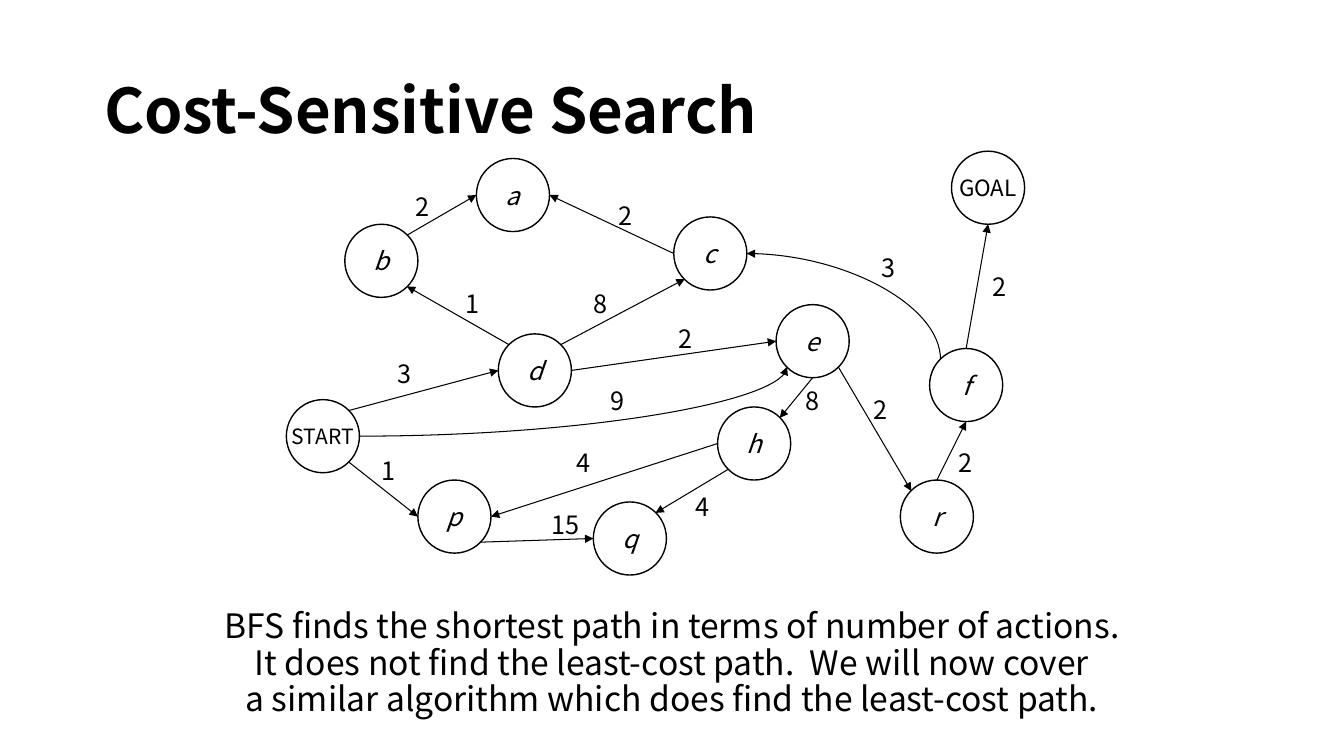
from typing import NamedTuple

from lxml.etree import SubElement as Sub
from pptx import Presentation
from pptx.dml.color import RGBColor
from pptx.enum.shapes import MSO_CONNECTOR as Link, MSO_SHAPE as Kind
from pptx.enum.text import MSO_ANCHOR as Anchor, MSO_AUTO_SIZE as Fit, PP_ALIGN as Align
from pptx.oxml.ns import qn
from pptx.util import Inches, Pt

BLACK = RGBColor(0, 0, 0)
FACE = "Noto Sans CJK SC"
WIDE, HIGH = Inches(13.33), Inches(7.5)

# Graph grid: a node is SPAN cells across
CELL = Inches(0.29) / 4
LEFT, TOP = Inches(2.84), Inches(1.5)
SPAN = 10
LABEL = 5.5  # cells, height of a cost label
NEAR, MID, FAR = 0.15, 0.5, 0.85
SITES = {
    "n": (MID, 0), "ne": (FAR, NEAR), "e": (1, MID), "se": (FAR, FAR),
    "s": (MID, 1), "sw": (NEAR, FAR), "w": (0, MID), "nw": (NEAR, NEAR),
}


class Node(NamedTuple):
    name: str
    col: float
    row: float
    size: int = 18
    slant: bool = True


class Edge(NamedTuple):
    tail: str
    out: str
    head: str
    into: str
    cost: str
    col: float  # place of the cost label
    row: float
    bend: str = ""  # direction in which a curve sets off


NODES = [
    Node("START", 0, 34, 15, False), Node("GOAL", 91, 0, 16, False),
    Node("d", 29, 25), Node("b", 8, 10), Node("p", 18, 45),
    Node("q", 42, 48), Node("c", 53, 9), Node("e", 67, 21),
    Node("h", 59, 35), Node("a", 26, 1), Node("f", 88, 27), Node("r", 84, 45),
]
EDGES = [
    Edge("START", "se", "p", "w", "1", 11.6, 41),
    Edge("p", "se", "q", "w", "15", 34.9, 48.3),
    Edge("h", "sw", "q", "ne", "4", 54.6, 45.8),
    Edge("h", "w", "p", "e", "4", 38.3, 39.9),
    Edge("e", "s", "h", "ne", "8", 69.7, 31.3),
    Edge("e", "se", "r", "nw", "2", 79, 32.6),
    Edge("r", "n", "f", "s", "2", 90.6, 39.9),
    Edge("f", "n", "GOAL", "s", "2", 95.3, 15.7),
    Edge("START", "ne", "d", "w", "3", 13.9, 27.7),
    Edge("d", "nw", "b", "se", "1", 23.2, 18.1),
    Edge("b", "ne", "a", "w", "2", 16.3, 4.8),
    Edge("c", "w", "a", "e", "2", 44.1, 6.1),
    Edge("d", "ne", "c", "sw", "8", 40.7, 18.1),
    Edge("d", "e", "e", "w", "2", 52.3, 22.9),
    Edge("f", "nw", "c", "e", "3", 80.1, 13.2, "up"),
    Edge("START", "e", "e", "sw", "9", 43, 31.3, "across"),
]
NOTE = [
    "BFS finds the shortest path in terms of number of actions.",
    "It does not find the least-cost path.  We will now cover",
    "a similar algorithm which does find the least-cost path.",
]


def spot(col: float, row: float) -> tuple[int, int]:
    return int(LEFT + col * CELL), int(TOP + row * CELL)


def write(frame, *lines: str, size: int, align=Align.LEFT, bold=False,
          slant=False, lead=1.0, plain=False) -> None:
    """Fill a text frame with paragraphs of one format."""
    for i, line in enumerate(lines):
        para = frame.add_paragraph() if i else frame.paragraphs[0]
        if plain:
            props = para._p.get_or_add_pPr()
            props.set("marL", "0")
            props.set("indent", "0")
            Sub(props, qn("a:buNone"))
        para.alignment = align
        para.line_spacing = lead
        para.space_before = Pt(0)
        run = para.add_run()
        run.text = line
        font = run.font
        font.name, font.size = FACE, Pt(size)
        font.bold, font.italic = bold, slant
        font.color.rgb = BLACK


def place(shape, x: float, y: float, w: float, h: float) -> None:
    """Set a shape by shares of the slide."""
    shape.left, shape.top = int(x * WIDE), int(y * HIGH)
    shape.width, shape.height = int(w * WIDE), int(h * HIGH)
    shape.text_frame.auto_size = Fit.TEXT_TO_FIT_SHAPE


def draw_node(shapes, node: Node) -> None:
    side = int(SPAN * CELL)
    disc = shapes.add_shape(Kind.FLOWCHART_CONNECTOR,
                            *spot(node.col, node.row), side, side)
    disc.shadow.inherit = False
    disc.fill.background()
    disc.line.color.rgb = BLACK
    disc.line.width = Pt(1)
    frame = disc.text_frame
    frame.word_wrap = False
    frame.vertical_anchor = Anchor.MIDDLE
    write(frame, node.name, size=node.size, align=Align.CENTER, slant=node.slant)


def site(node: Node, side: str) -> tuple[int, int]:
    x, y = SITES[side]
    return spot(node.col + x * SPAN, node.row + y * SPAN)


def draw_edge(shapes, edge: Edge, nodes: dict[str, Node]) -> None:
    x1, y1 = site(nodes[edge.tail], edge.out)
    x2, y2 = site(nodes[edge.head], edge.into)
    if edge.bend == "up":  # lay the box on its side, to be turned below
        mx, my = (x1 + x2) // 2, (y1 + y2) // 2
        dx, dy = abs(x2 - x1) // 2, abs(y2 - y1) // 2
        x1, y1, x2, y2 = mx + dy, my - dx, mx - dy, my + dx
    kind = Link.CURVE if edge.bend else Link.STRAIGHT
    line = shapes.add_connector(kind, x1, y1, x2, y2)
    line.line.color.rgb = BLACK
    line.line.width = Pt(0.75)
    props = line._element.spPr
    if edge.bend:
        props.find(qn("a:prstGeom")).set("prst", "curvedConnector2")
    if edge.bend == "up":
        props.find(qn("a:xfrm")).set("rot", str(90 * 60000))
    Sub(props.find(qn("a:ln")), qn("a:tailEnd"), type="triangle")
    Sub(props, qn("a:effectLst"))


def draw_cost(shapes, edge: Edge) -> None:
    wide = 2.3 * (len(edge.cost) + 1)
    box = shapes.add_textbox(*spot(edge.col, edge.row),
                             int(wide * CELL), int(LABEL * CELL))
    box.text_frame.word_wrap = True
    write(box.text_frame, edge.cost, size=18)


def main() -> None:
    deck = Presentation()
    deck.slide_width, deck.slide_height = WIDE, HIGH
    slide = deck.slides.add_slide(deck.slide_layouts[1])
    shapes = slide.shapes

    # Title
    title = shapes.title
    place(title, 0.07, 0.05, 0.86, 0.2)
    title.text_frame.vertical_anchor = Anchor.MIDDLE
    write(title.text_frame, "Cost-Sensitive Search", size=44, bold=True, lead=0.9)

    # Closing note
    body = slide.placeholders[1]
    place(body, 0, 0.8, 1, 0.18)
    write(body.text_frame, *NOTE, size=24, align=Align.CENTER, lead=0.9, plain=True)

    # Search graph
    for node in NODES:
        draw_node(shapes, node)
    nodes = {node.name: node for node in NODES}
    for edge in EDGES:
        draw_edge(shapes, edge, nodes)
    for edge in EDGES:
        draw_cost(shapes, edge)

    deck.save("out.pptx")


if __name__ == "__main__":
    main()
